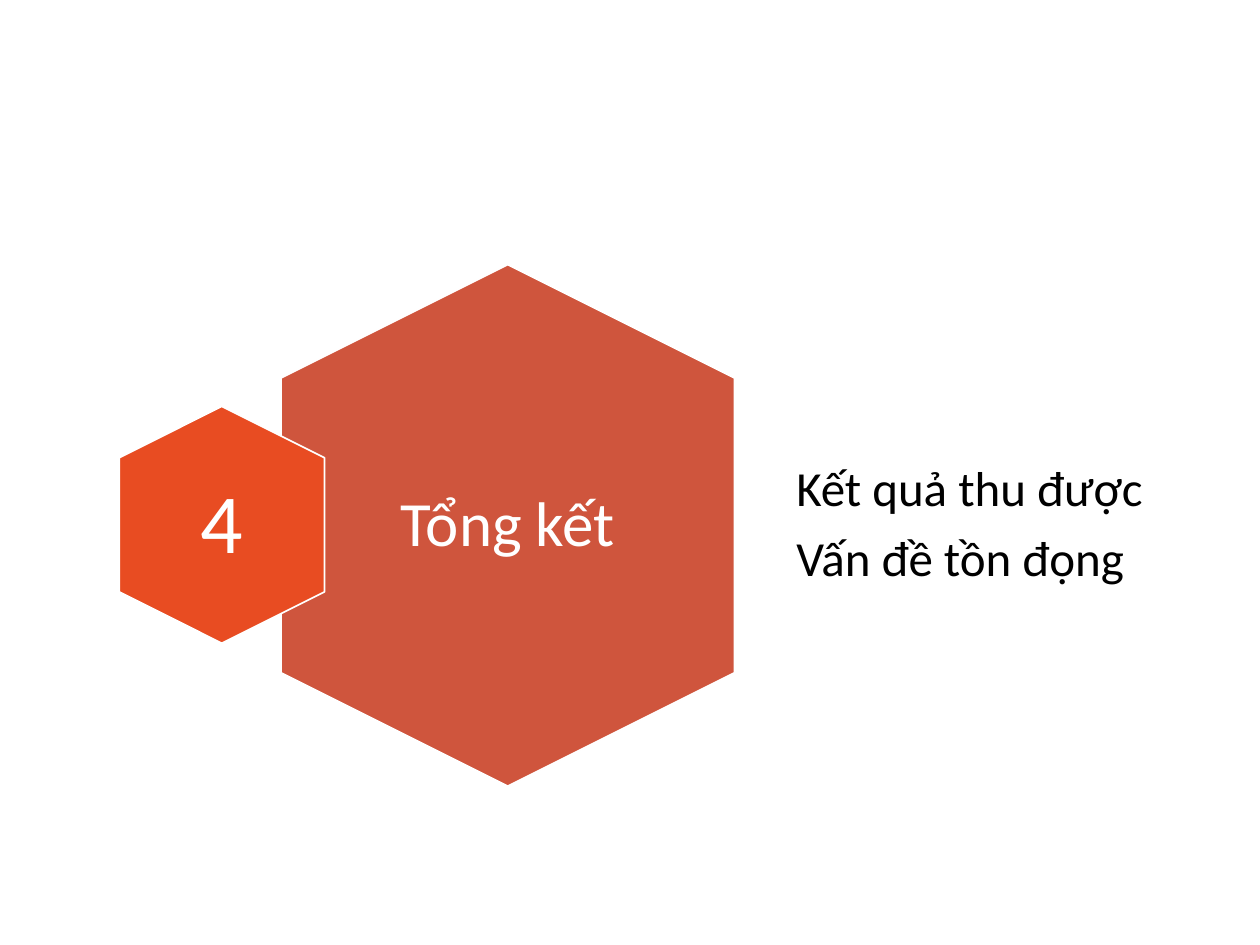
from dataclasses import dataclass

from pptx import Presentation
from pptx.dml.color import RGBColor
from pptx.enum.shapes import MSO_SHAPE
from pptx.enum.text import MSO_ANCHOR, PP_ALIGN
from pptx.util import Inches, Pt

COLORS = {"title": "CF553D", "number": "E84C22", "white": "FFFFFF", "black": "000000"}
FONT = "Calibri"
LINE_SPACING = 0.9
SPACE_AFTER = 0.35  # share of the font size


@dataclass(frozen=True)
class Hexagon:
    left: float
    top: float
    width: float
    height: float
    color: str


@dataclass(frozen=True)
class Label:
    left: float
    top: float
    width: float
    height: float
    lines: tuple[str, ...]
    size: int
    inset: float
    color: str = "white"
    align: PP_ALIGN = PP_ALIGN.CENTER


ITEMS = (
    Hexagon(1.96, 2.37, 4.14, 3.6, "title"),
    Label(2.79, 2.75, 2.48, 2.85, ("Tổng kết",), 36, 0.15),
    Label(6.2, 3.26, 3.4, 1.83, ("Kết quả thu được", "Vấn đề tồn đọng"), 28, 0.12,
          "black", PP_ALIGN.LEFT),
    Hexagon(0.82, 3.35, 1.88, 1.63, "number"),
    Label(1.2, 3.53, 1.12, 1.29, ("4",), 48, 0),
)


def rgb(name: str) -> RGBColor:
    return RGBColor.from_string(COLORS[name])


def box(item: Hexagon | Label) -> list[Inches]:
    return [Inches(v) for v in (item.left, item.top, item.width, item.height)]


def draw_hexagon(shapes, item: Hexagon) -> None:
    """Draw a hexagon turned to stand on a point."""
    sp = shapes.add_shape(MSO_SHAPE.HEXAGON, *box(item))
    sp.rotation = 90
    sp.shadow.inherit = False
    sp.fill.solid()
    sp.fill.fore_color.rgb = rgb(item.color)
    sp.line.color.rgb = rgb("white")
    sp.line.width = Pt(1)


def draw_label(shapes, item: Label) -> None:
    tf = shapes.add_textbox(*box(item)).text_frame
    tf.word_wrap = True
    tf.vertical_anchor = MSO_ANCHOR.MIDDLE
    tf.margin_left = tf.margin_right = Inches(item.inset)
    tf.margin_top = tf.margin_bottom = Inches(item.inset)
    tf.text = "\n".join(item.lines)
    for p in tf.paragraphs:
        p.alignment = item.align
        p.line_spacing = LINE_SPACING
        p.space_after = Pt(item.size * SPACE_AFTER)
        p.font.name = FONT
        p.font.size = Pt(item.size)
        p.font.color.rgb = rgb(item.color)


def main() -> None:
    prs = Presentation()
    prs.slide_width, prs.slide_height = Inches(10), Inches(7.5)
    s = prs.slides.add_slide(prs.slide_layouts[6])
    for item in ITEMS:
        draw = draw_hexagon if isinstance(item, Hexagon) else draw_label
        draw(s.shapes, item)
    prs.save("out.pptx")


if __name__ == "__main__":
    main()
